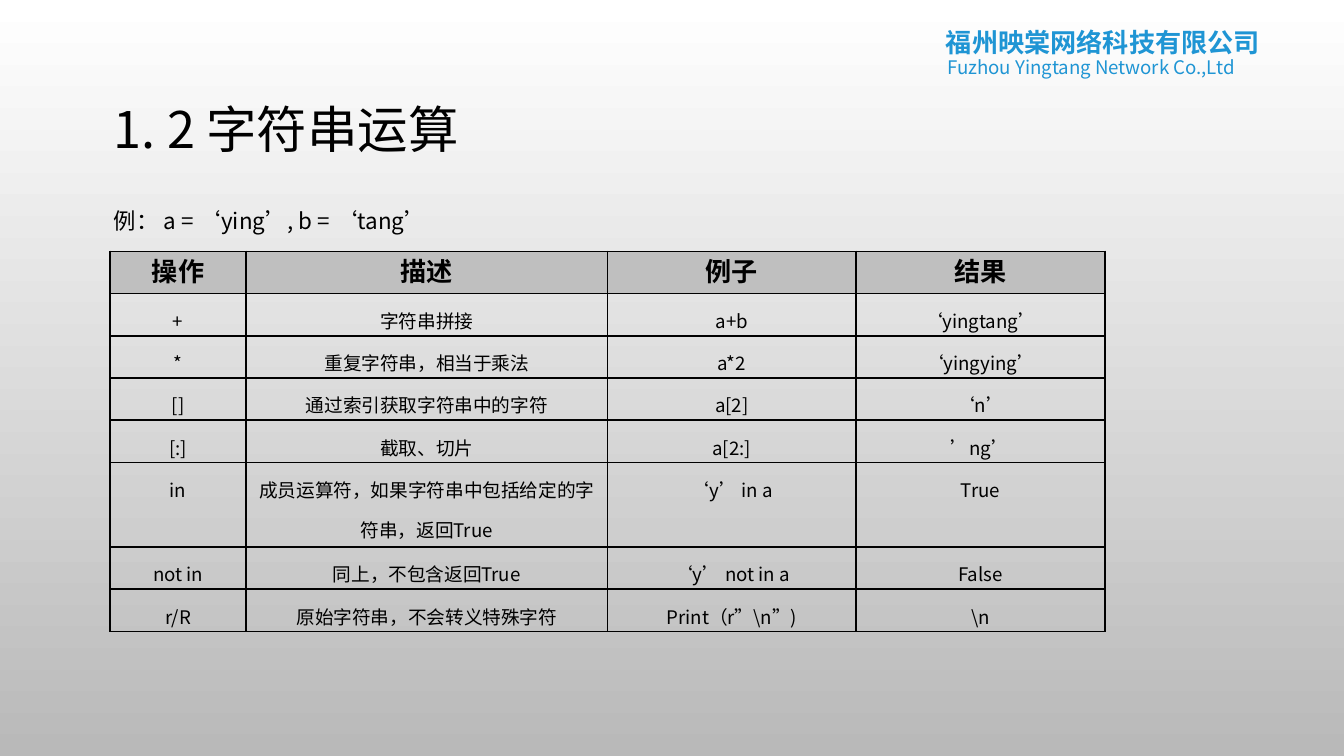
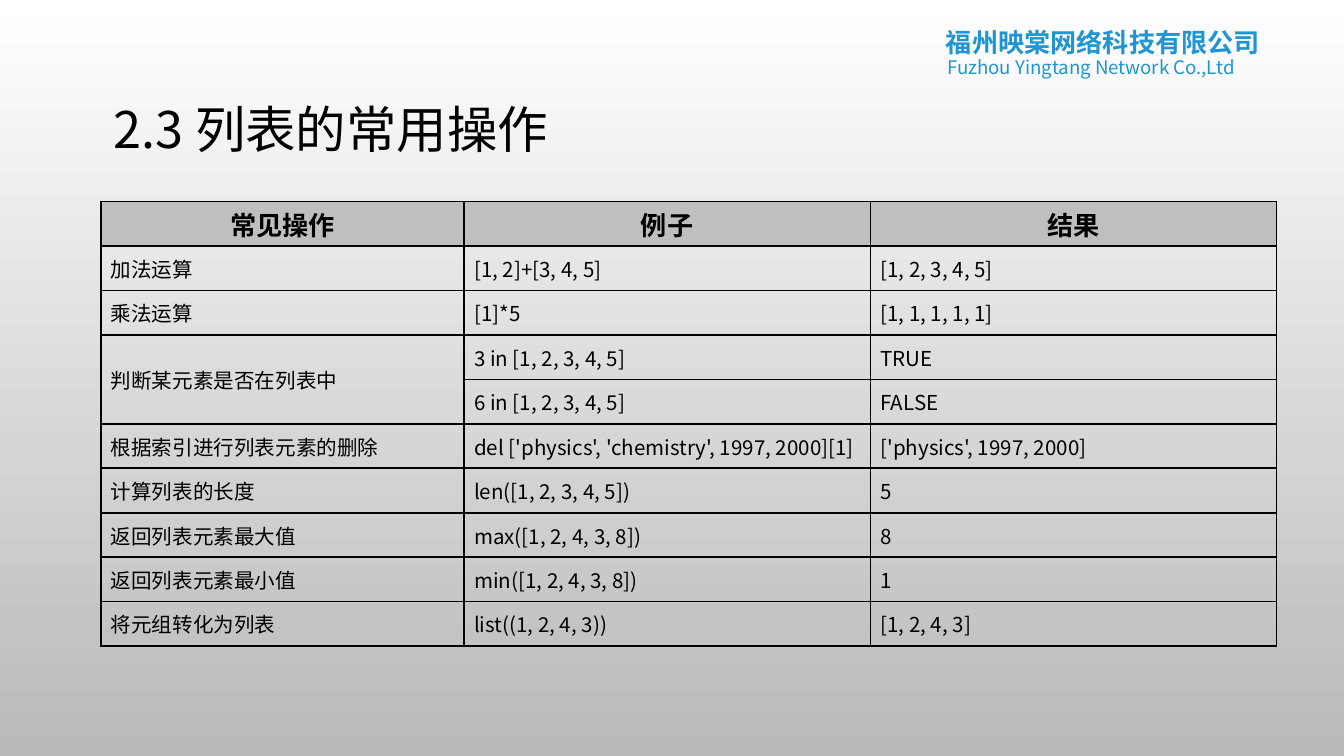
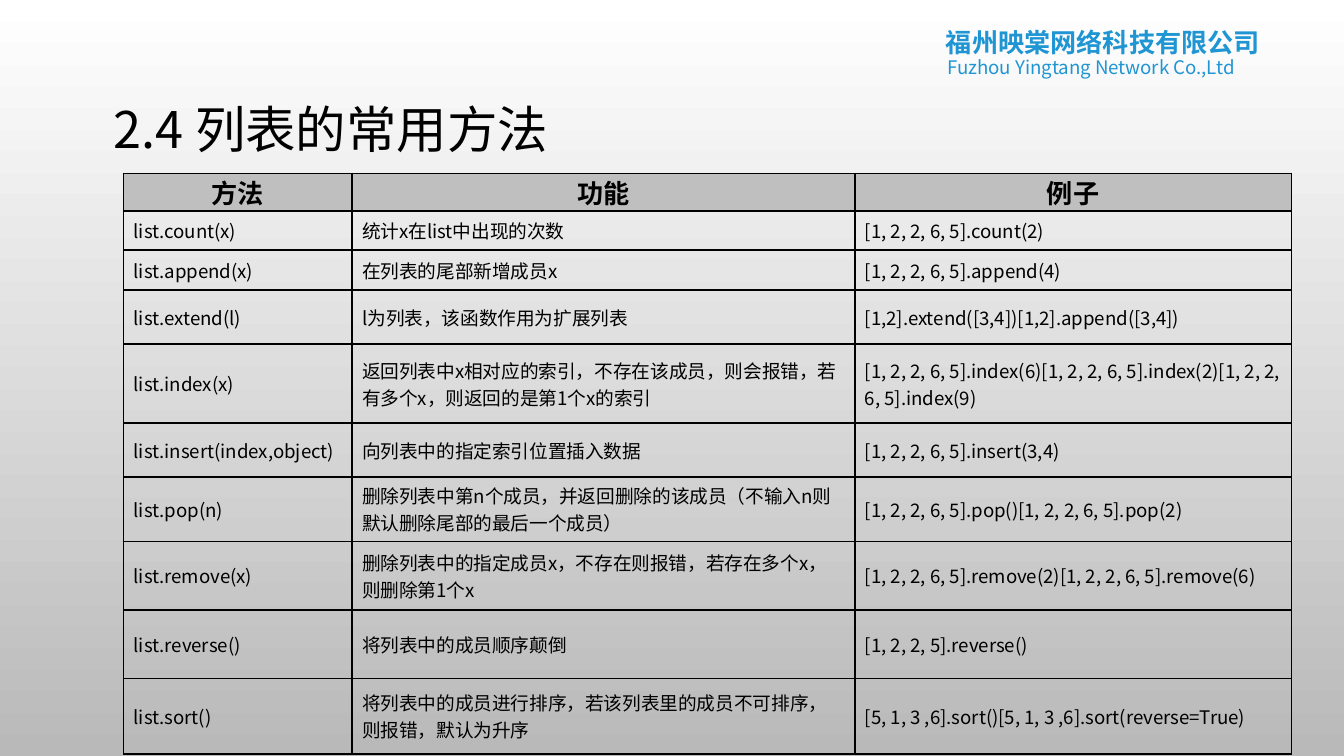
import pptx
import pptx.dml.color
import pptx.enum.text
import pptx.oxml
import pptx.oxml.ns
import pptx.util
from pptx.util import Inches

FONT = "Noto Sans CJK SC"
COLORS = {
    "brand": "1F95D4",
    "text": "000000",
    "header": "BFBFBF",
    "border": "000000",
    "background_top": "FFFFFF",
    "background_bottom": "B9B9B9",
}
ALIGN = pptx.enum.text.PP_ALIGN
ANCHOR = pptx.enum.text.MSO_ANCHOR


def write(text_frame, text, size=10, color="text", bold=False, align=ALIGN.LEFT,
          line_spacing=None, space_before=None):
    text_frame.word_wrap = True
    paragraph = text_frame.paragraphs[0]
    paragraph.alignment = align
    if line_spacing:
        paragraph.line_spacing = line_spacing
    if space_before:
        paragraph.space_before = pptx.util.Pt(space_before)
    run = paragraph.add_run()
    run.text = text
    run.font.size = pptx.util.Pt(size)
    run.font.bold = bold
    run.font.name = FONT
    run.font.color.rgb = pptx.dml.color.RGBColor.from_string(COLORS[color])
    east_asian = pptx.oxml.parse_xml(
        f'<a:ea {pptx.oxml.ns.nsdecls("a")} typeface="{FONT}"/>')
    run.font._element.append(east_asian)


def add_borders(cell):
    properties = cell._tc.get_or_add_tcPr()
    for side in ("lnL", "lnR", "lnT", "lnB"):
        properties.append(pptx.oxml.parse_xml(
            f'<a:{side} {pptx.oxml.ns.nsdecls("a")} w="12700"><a:solidFill>'
            f'<a:srgbClr val="{COLORS["border"]}"/></a:solidFill></a:{side}>'))


# Content: column and row sizes are shares of the table's width and height
pages = [
    {
        "title": "1. 2 字符串运算",
        "example": "例： a = ‘ying’, b = ‘tang’",
        "box": (0.82, 1.87, 7.4, 2.83),
        "columns": [1.01, 2.69, 1.85, 1.85],
        "rows": [1, 1, 1, 1, 1, 2, 1, 1],
        "body": {"size": 10, "align": ALIGN.CENTER, "line_spacing": 1.5},
        "anchor": ANCHOR.TOP,
        "cells": [
            ["操作", "描述", "例子", "结果"],
            ["+", "字符串拼接", "a+b", "‘yingtang’"],
            ["*", "重复字符串，相当于乘法", "a*2", "‘yingying’"],
            ["[]", "通过索引获取字符串中的字符", "a[2]", "‘n’"],
            ["[:]", "截取、切片", "a[2:]", "’ng’"],
            ["in", "成员运算符，如果字符串中包括给定的字符串，返回True", "‘y’ in a", "True"],
            ["not in", "同上，不包含返回True", "‘y’ not in a", "False"],
            ["r/R", "原始字符串，不会转义特殊字符", r"Print（r”\n”)", r"\n"],
        ],
    },
    {
        "title": "2.3 列表的常用操作",
        "box": (0.75, 1.5, 8.75, 3.31),
        "columns": [2.7, 3.02, 3.02],
        "rows": [1] * 10,
        "body": {"size": 11},
        "anchor": ANCHOR.MIDDLE,
        "merge": ((3, 0), (4, 0)),
        "cells": [
            ["常见操作", "例子", "结果"],
            ["加法运算", "[1, 2]+[3, 4, 5]", "[1, 2, 3, 4, 5]"],
            ["乘法运算", "[1]*5", "[1, 1, 1, 1, 1]"],
            ["判断某元素是否在列表中", "3 in [1, 2, 3, 4, 5]", "TRUE"],
            [None, "6 in [1, 2, 3, 4, 5]", "FALSE"],
            ["根据索引进行列表元素的删除", "del ['physics', 'chemistry', 1997, 2000][1]",
             "['physics', 1997, 2000]"],
            ["计算列表的长度", "len([1, 2, 3, 4, 5])", "5"],
            ["返回列表元素最大值", "max([1, 2, 4, 3, 8])", "8"],
            ["返回列表元素最小值", "min([1, 2, 4, 3, 8])", "1"],
            ["将元组转化为列表", "list((1, 2, 4, 3))", "[1, 2, 4, 3]"],
        ],
    },
    {
        "title": "2.4 列表的常用方法",
        "box": (0.92, 1.29, 8.69, 4.32),
        "columns": [1.7, 3.74, 3.25],
        "rows": [0.28, 0.29, 0.3, 0.4, 0.59, 0.4, 0.48, 0.51, 0.51, 0.56],
        "body": {"size": 10},
        "anchor": ANCHOR.MIDDLE,
        "cells": [
            ["方法", "功能", "例子"],
            ["list.count(x)", "统计x在list中出现的次数", "[1, 2, 2, 6, 5].count(2)"],
            ["list.append(x)", "在列表的尾部新增成员x", "[1, 2, 2, 6, 5].append(4)"],
            ["list.extend(l)", "l为列表，该函数作用为扩展列表",
             "[1,2].extend([3,4])[1,2].append([3,4])"],
            ["list.index(x)",
             "返回列表中x相对应的索引，不存在该成员，则会报错，若有多个x，则返回的是第1个x的索引",
             "[1, 2, 2, 6, 5].index(6)[1, 2, 2, 6, 5].index(2)[1, 2, 2, 6, 5].index(9)"],
            ["list.insert(index,object)", "向列表中的指定索引位置插入数据",
             "[1, 2, 2, 6, 5].insert(3,4)"],
            ["list.pop(n)",
             "删除列表中第n个成员，并返回删除的该成员（不输入n则默认删除尾部的最后一个成员）",
             "[1, 2, 2, 6, 5].pop()[1, 2, 2, 6, 5].pop(2)"],
            ["list.remove(x)", "删除列表中的指定成员x，不存在则报错，若存在多个x，则删除第1个x",
             "[1, 2, 2, 6, 5].remove(2)[1, 2, 2, 6, 5].remove(6)"],
            ["list.reverse()", "将列表中的成员顺序颠倒", "[1, 2, 2, 5].reverse()"],
            ["list.sort()", "将列表中的成员进行排序，若该列表里的成员不可排序，则报错，默认为升序",
             "[5, 1, 3 ,6].sort()[5, 1, 3 ,6].sort(reverse=True)"],
        ],
    },
]

# Presentation in 16:9 and shared gradient background
presentation = pptx.Presentation()
presentation.slide_width = Inches(10)
presentation.slide_height = presentation.slide_width * 9 // 16
background = presentation.slide_master.background.fill
background.gradient()
background.gradient_angle = 270
for stop, name in zip(background.gradient_stops, ("background_top", "background_bottom")):
    stop.color.rgb = pptx.dml.color.RGBColor.from_string(COLORS[name])

for page in pages:
    slide = presentation.slides.add_slide(presentation.slide_layouts[6])

    # Company name, title and optional example line
    lines = [
        ((6.94, 0.15, 2.67, 0.34), "福州映棠网络科技有限公司",
         {"size": 14, "color": "brand", "bold": True, "align": ALIGN.JUSTIFY}),
        ((6.95, 0.37, 2.66, 0.27), "Fuzhou Yingtang Network Co.,Ltd",
         {"size": 10, "color": "brand", "align": ALIGN.JUSTIFY}),
        ((0.75, 0.67, 8.5, 0.62), page["title"], {"size": 27, "line_spacing": 0.9}),
    ]
    if "example" in page:
        lines.append(((0.75, 1.29, 8.5, 3.66), page["example"],
                      {"size": 12, "line_spacing": 2.0, "space_before": 7.5}))
    for box, text, text_format in lines:
        shape = slide.shapes.add_textbox(*map(Inches, box))
        write(shape.text_frame, text, **text_format)
        if text == page["title"]:
            shape.text_frame.vertical_anchor = ANCHOR.MIDDLE

    # Table grid
    left, top, width, height = map(Inches, page["box"])
    table = slide.shapes.add_table(len(page["rows"]), len(page["columns"]),
                                   left, top, width, height).table
    table.first_row = table.horz_banding = False
    for column, share in zip(table.columns, page["columns"]):
        column.width = int(width * share / sum(page["columns"]))
    for row, share in zip(table.rows, page["rows"]):
        row.height = int(height * share / sum(page["rows"]))

    # Table cells
    for row_index, texts in enumerate(page["cells"]):
        for column_index, text in enumerate(texts):
            cell = table.cell(row_index, column_index)
            cell.margin_left = cell.margin_right = pptx.util.Pt(5.4)
            cell.margin_top = cell.margin_bottom = 0
            cell.vertical_anchor = page["anchor"]
            add_borders(cell)
            if row_index == 0:
                cell.fill.solid()
                cell.fill.fore_color.rgb = pptx.dml.color.RGBColor.from_string(COLORS["header"])
                write(cell.text_frame, text, size=14, bold=True, align=ALIGN.CENTER)
            else:
                cell.fill.background()
                if text:
                    write(cell.text_frame, text, **page["body"])
    if "merge" in page:
        first, last = page["merge"]
        table.cell(*first).merge(table.cell(*last))

presentation.save("out.pptx")
